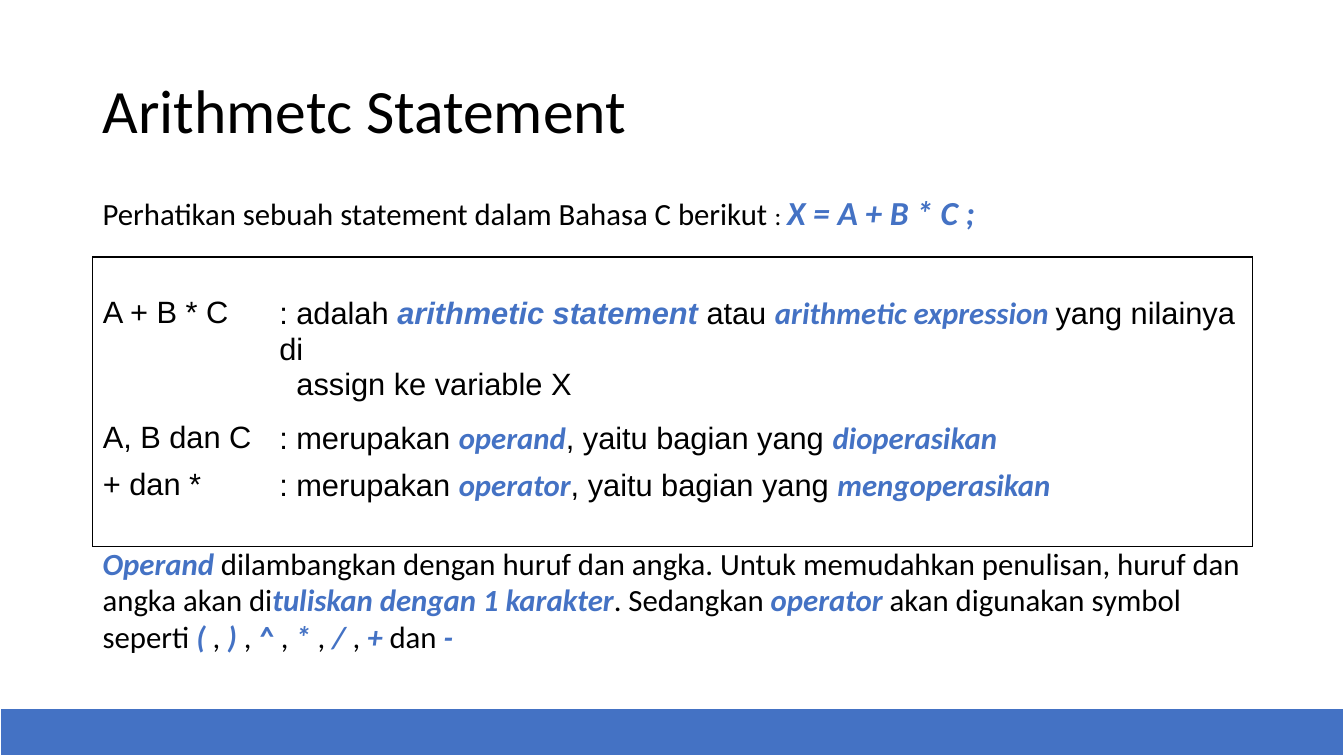
from dataclasses import dataclass

from lxml.etree import SubElement
from pptx import Presentation
from pptx.dml.color import RGBColor
from pptx.enum.shapes import MSO_SHAPE
from pptx.enum.text import MSO_ANCHOR
from pptx.oxml.ns import qn
from pptx.util import Inches, Pt


@dataclass(frozen=True)
class Theme:
    ink: str = "000000"
    accent: str = "4472C4"
    paper: str = "FFFFFF"
    heading_font: str = "Calibri"
    table_font: str = "Arial"
    title_size: int = 44
    formula_size: int = 24
    body_size: int = 22
    colon_size: int = 18


theme = Theme()


def write(paragraph, text, font=theme.heading_font, accent_font=theme.heading_font,
          size=theme.body_size):
    """Add runs; parts between bars are emphasised."""
    for index, part in enumerate(text.split("|")):
        if not part:
            continue
        emphasised = index % 2 == 1
        run = paragraph.add_run()
        run.text = part
        run.font.name = accent_font if emphasised else font
        run.font.size = Pt(size)
        run.font.bold = run.font.italic = emphasised
        run.font.color.rgb = RGBColor.from_string(theme.accent if emphasised else theme.ink)


def add_text_box(left, top, width, height):
    frame = slide.shapes.add_textbox(
        Inches(left), Inches(top), Inches(width), Inches(height)).text_frame
    frame.word_wrap = True
    return frame


presentation = Presentation()
presentation.slide_width = Inches(13.33)
presentation.slide_height = Inches(7.5)
slide = presentation.slides.add_slide(presentation.slide_layouts[6])

# Title
title = add_text_box(0.92, 0.4, 11.5, 1.45)
title.vertical_anchor = MSO_ANCHOR.MIDDLE
title.paragraphs[0].line_spacing = 0.9
write(title.paragraphs[0], "Arithmetc Statement", size=theme.title_size)

# Footer bar
footer = slide.shapes.add_shape(
    MSO_SHAPE.RECTANGLE, Inches(0), Inches(7.02), Inches(13.33), Inches(0.48))
footer.shadow.inherit = False
footer.fill.solid()
footer.fill.fore_color.rgb = RGBColor.from_string(theme.accent)
footer.line.color.rgb = RGBColor.from_string(theme.paper)
footer.line.width = Pt(1.5)

# Introduction with the example statement
introduction = add_text_box(0.92, 1.85, 8.89, 0.5).paragraphs[0]
write(introduction, "Perhatikan sebuah statement dalam Bahasa C berikut ")
write(introduction, ": ", size=theme.colon_size)
write(introduction, "|X = A + B * C ;|", size=theme.formula_size)

# Table of terms
terms = ["A + B * C", "A, B dan C", "+ dan *"]
meanings = [
    ": adalah ",
    ": merupakan |operand|, yaitu bagian yang |dioperasikan|",
    ": merupakan |operator|, yaitu bagian yang |mengoperasikan|",
]
row_heights = [1.57, 0.47, 0.83]
column_widths = [1.75, 9.75]
table = slide.shapes.add_table(
    3, 2, Inches(0.92), Inches(2.55),
    Inches(sum(column_widths)), Inches(sum(row_heights))).table
table.first_row = table.horz_banding = False
for column, width in zip(table.columns, column_widths):
    column.width = Inches(width)

for row_index, texts in enumerate(zip(terms, meanings)):
    table.rows[row_index].height = Inches(row_heights[row_index])
    for column_index, text in enumerate(texts):
        cell = table.cell(row_index, column_index)
        cell.margin_top = Inches(0.38 if row_index == 0 else 0.05)
        write(cell.text_frame.paragraphs[0], text, font=theme.table_font)

        # Only the outer edges carry a line
        properties = cell._tc.get_or_add_tcPr()
        edges = {"L": column_index == 0, "R": column_index == 1,
                 "T": row_index == 0, "B": row_index == 2}
        for side, outer in edges.items():
            line = SubElement(properties, qn(f"a:ln{side}"), w=str(Pt(1)))
            if outer:
                fill = SubElement(line, qn("a:solidFill"))
                SubElement(fill, qn("a:srgbClr"), val=theme.ink)
            else:
                SubElement(line, qn("a:noFill"))
        cell.fill.background()

# The first meaning mixes fonts and has an indented second part
definition = table.cell(0, 1).text_frame
write(definition.paragraphs[0], "|arithmetic statement |atau ",
      font=theme.table_font, accent_font=theme.table_font)
write(definition.paragraphs[0], "|arithmetic expression |yang nilainya di",
      font=theme.table_font)
continuation = definition.add_paragraph()
continuation._p.get_or_add_pPr().set("marL", str(Inches(0.17)))
write(continuation, "assign ke variable X", font=theme.table_font)

# Closing explanation
closing = add_text_box(0.92, 5.35, 11.5, 1.62).paragraphs[0]
write(closing, "|Operand| dilambangkan dengan huruf dan angka. Untuk memudahkan "
               "penulisan, huruf dan angka akan di|tuliskan dengan 1 karakter|. "
               "Sedangkan |operator| akan digunakan symbol seperti "
               "|(| , |)| , |^| , |*| , |/| , |+| dan |-|")

presentation.save("out.pptx")
